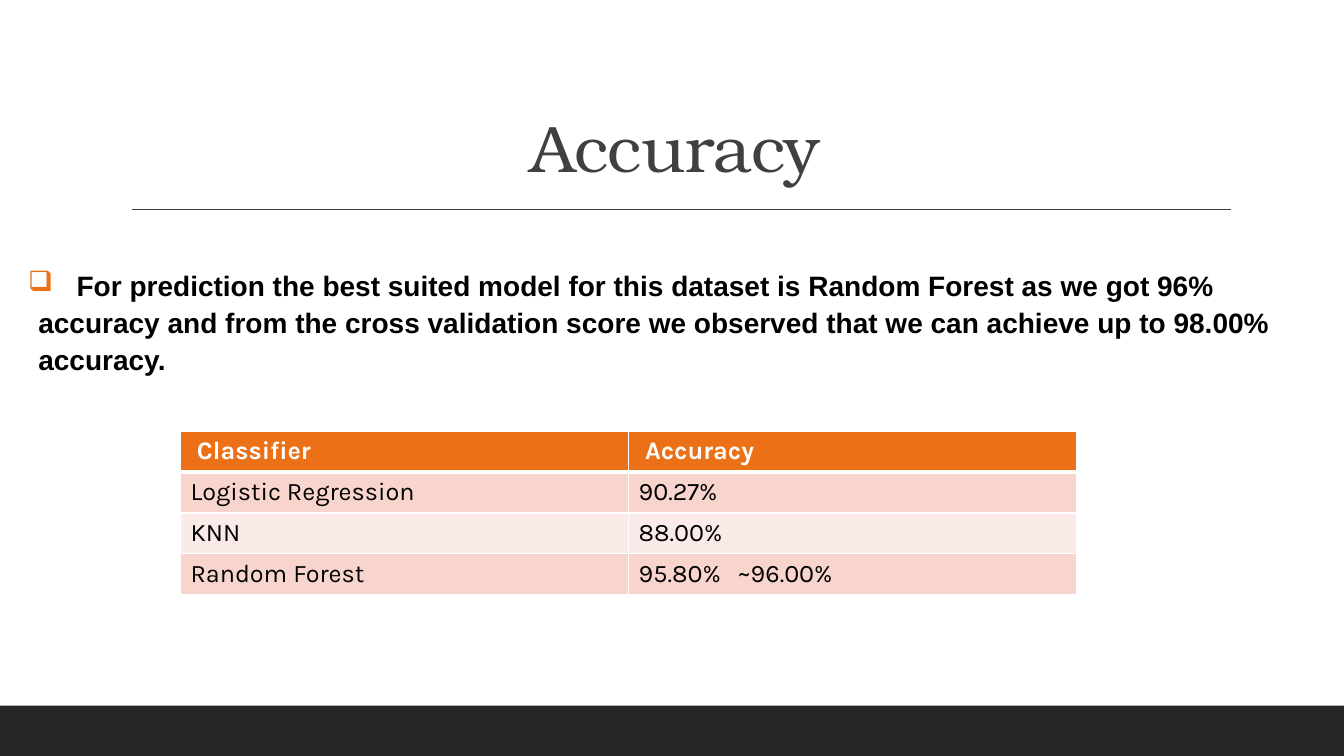
from lxml import etree
from pptx import Presentation
from pptx import util as u
from pptx.dml.color import RGBColor
from pptx.enum import shapes, text
from pptx.oxml import ns

COLORS = {
    "white": "FFFFFF",
    "black": "000000",
    "dark": "262626",
    "gray": "404040",
    "orange": "EC7016",
    "band": "F8D5CC",
    "pale": "FBEBE8",
}


def rgb(name):
    return RGBColor.from_string(COLORS[name])


def add(parent, tag, **attrs):
    return etree.SubElement(parent, ns.qn(tag), attrs)


def box(*lengths):
    return [u.Inches(n) for n in lengths]


class Deck:
    def __init__(self):
        self.prs = Presentation()
        self.prs.slide_width, self.prs.slide_height = box(13.33, 7.5)
        self.s = self.prs.slides.add_slide(self.prs.slide_layouts[6])

    def format(self, p, font, size, color, bold=False):
        for r in p.runs:
            r.font.name = font
            r.font.size = u.Pt(size)
            r.font.bold = bold
            r.font.color.rgb = rgb(color)

    def tab_stop(self, p, position):
        tabs = add(p._p.get_or_add_pPr(), "a:tabLst")
        add(tabs, "a:tab", pos=str(u.Inches(position)), algn="l")

    def bar(self, at, color):
        sp = self.s.shapes.add_shape(shapes.MSO_SHAPE.RECTANGLE, *box(*at))
        sp.shadow.inherit = False
        sp.fill.solid()
        sp.fill.fore_color.rgb = rgb(color)
        sp.line.fill.background()

    def rule(self, ends, color):
        line = self.s.shapes.add_connector(shapes.MSO_CONNECTOR.STRAIGHT, *box(*ends))
        line.line.color.rgb = rgb(color)
        line.line.width = u.Pt(1)
        add(line._element.spPr, "a:effectLst")

    def textbox(self, at, wording):
        sp = self.s.shapes.add_textbox(*box(*at))
        tf = sp.text_frame
        tf.word_wrap = True
        tf.text = wording
        return tf, tf.paragraphs[0]

    def title(self, at, wording):
        tf, p = self.textbox(at, wording)
        tf.vertical_anchor = text.MSO_ANCHOR.BOTTOM
        p.alignment = text.PP_ALIGN.CENTER
        p.line_spacing = 0.9
        self.format(p, "TeX Gyre Bonum", 47, "gray")
        p.runs[0]._r.get_or_add_rPr().set("spc", "-50")

    def bullet(self, at, wording, inset_top):
        tf, p = self.textbox(at, wording)
        tf.margin_left = tf.margin_right = 0
        tf.margin_top = u.Inches(inset_top)
        p.line_spacing = 1.1
        self.format(p, "Arial", 20, "black", True)
        pPr = p._p.get_or_add_pPr()
        pPr.set("marL", str(u.Inches(0.1)))
        pPr.set("indent", str(u.Inches(-0.1)))
        add(add(pPr, "a:buClr"), "a:srgbClr", val=COLORS["orange"])
        add(pPr, "a:buChar", char="❑")
        self.tab_stop(p, 0.48)

    def borders(self, cell, widths):
        tcPr = cell._tc.get_or_add_tcPr()
        for i, (side, width) in enumerate(widths.items()):
            ln = etree.Element(ns.qn("a:ln" + side), w=str(u.Pt(width)))
            add(add(ln, "a:solidFill"), "a:srgbClr", val=COLORS["white"])
            tcPr.insert(i, ln)

    def table(self, at, rows):
        t = self.s.shapes.add_table(len(rows), len(rows[0]), *box(*at)).table
        for i, row in enumerate(rows):
            header = i == 0
            fill = "orange" if header else ("band" if i % 2 else "pale")
            for j, wording in enumerate(row):
                cell = t.cell(i, j)
                cell.text = wording
                cell.fill.solid()
                cell.fill.fore_color.rgb = rgb(fill)
                p = cell.text_frame.paragraphs[0]
                self.format(p, "Karla", 18, "white" if header else "black", header)
                if "\t" in wording:
                    self.tab_stop(p, 0.98)
                self.borders(cell, {"L": 1, "R": 1, "T": 3 if i == 1 else 1,
                                    "B": 3 if header else 1})


def main():
    deck = Deck()
    deck.bar((0, 7, 13.33, 0.5), "dark")
    deck.rule((1.31, 2.08, 12.21, 2.08), "gray")
    deck.title((1.2, 0.31, 11, 1.59), "Accuracy")
    deck.bullet(
        (0.28, 2.02, 12.65, 4.94),
        "\tFor prediction the best suited model for this dataset is Random Forest "
        "as we got 96% accuracy and from the cross validation score we observed "
        "that we can achieve up to 98.00% accuracy.",
        inset_top=0.61,
    )
    deck.table((1.79, 4.28, 8.89, 1.62), [
        (" Classifier", " Accuracy"),
        ("Logistic Regression", "90.27%"),
        ("KNN", "88.00%"),
        ("Random Forest", "95.80%\t~96.00%"),
    ])
    deck.prs.save("out.pptx")


if __name__ == "__main__":
    main()
